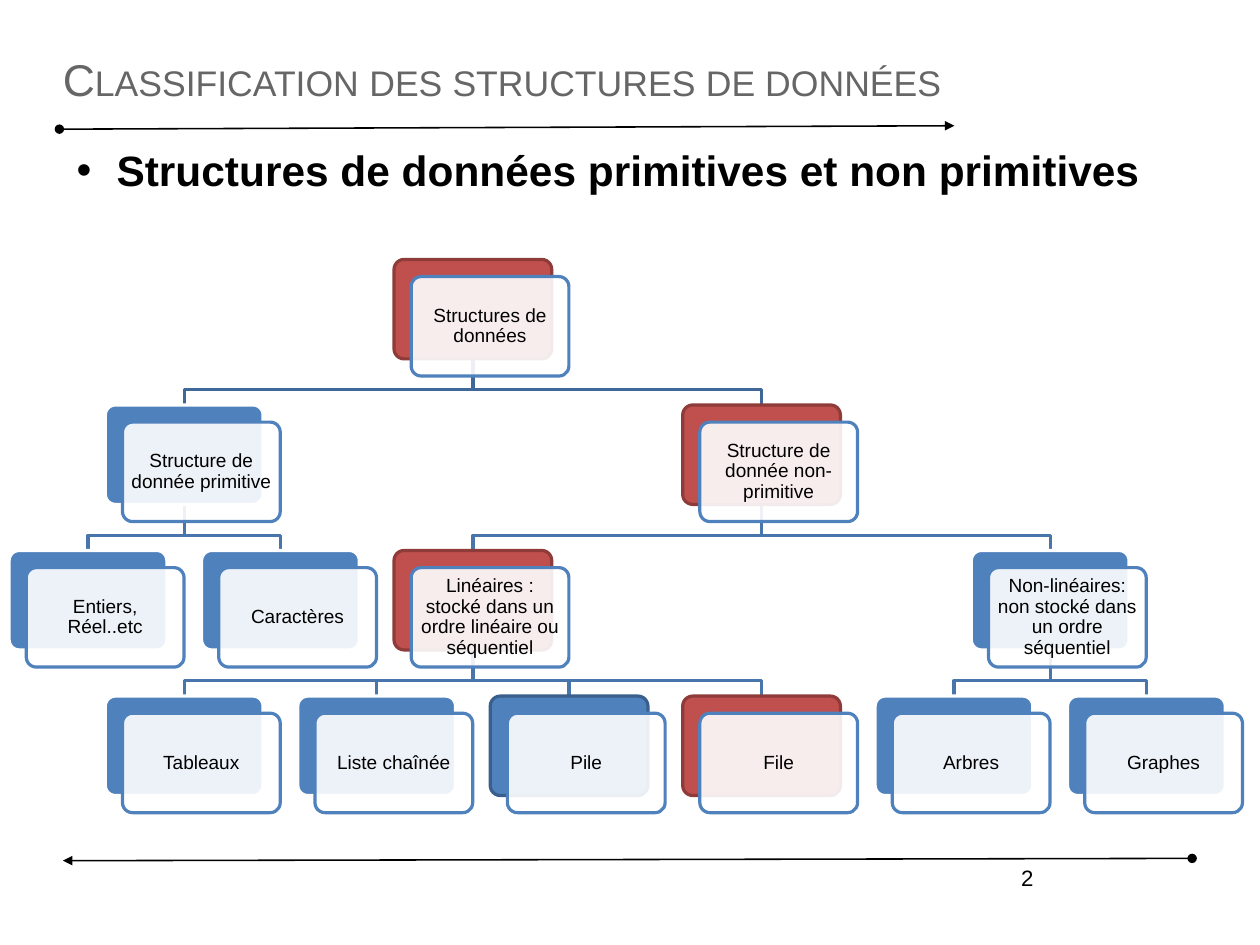
from lxml.etree import SubElement as Sub
from pptx import Presentation
from pptx.dml.color import RGBColor as RGB
from pptx.enum.shapes import MSO_CONNECTOR as LINK, MSO_SHAPE as KIND
from pptx.enum.text import MSO_ANCHOR as ANCHOR, PP_ALIGN as ALIGN
from pptx.oxml.ns import qn
from pptx.util import Cm, Inches, Pt

TITLE = "Classification des structures de données"
TOPIC = "Structures de données primitives et non primitives"
PAGE = "2"

NODES = {
    "root": ("Structures de données", 4, 0, "red", None),
    "prim": ("Structure de donnée primitive", 1, 1, "blue", "root"),
    "nonprim": ("Structure de donnée non-primitive", 7, 1, "red", "root"),
    "int": ("Entiers, Réel..etc", 0, 2, "blue", "prim"),
    "char": ("Caractères", 2, 2, "blue", "prim"),
    "linear": ("Linéaires : stocké dans un ordre linéaire ou séquentiel",
               4, 2, "red", "nonprim"),
    "nonlin": ("Non-linéaires: non stocké dans un ordre séquentiel",
               10, 2, "blue", "nonprim"),
    "array": ("Tableaux", 1, 3, "blue", "linear"),
    "list": ("Liste chaînée", 3, 3, "blue", "linear"),
    "stack": ("Pile", 5, 3, "navy", "linear"),
    "queue": ("File", 7, 3, "red", "linear"),
    "tree": ("Arbres", 9, 3, "blue", "nonlin"),
    "graph": ("Graphes", 11, 3, "blue", "nonlin"),
}
RULES = [((0.52, 1.13), (8.35, 1.1)), ((10.43, 7.51), (0.55, 7.53))]

HEX = {
    "black": "000000", "white": "FFFFFF", "gray": "666666",
    "blue": "4F81BD", "red": "C0504D", "dark": "8E3B39", "deep": "3A5F8C",
    "edge": "4875AC", "top": "3F6797",
}
LOOKS = {"red": ("red", "dark"), "blue": ("blue", "white"), "navy": ("blue", "deep")}

LEFT, RIGHT = 0.08, 9.34
TOP, BASE = 2.27, 6.09
STEP, ROW = (RIGHT - LEFT) / 11, (BASE - TOP) / 3
WIDE, HIGH = 1.38, 0.87
SHIFT = 0.15
BEND, DROP = 0.27, 0.4


def color(name):
    return RGB.from_string(HEX[name])


def place(node):
    return LEFT + node[1] * STEP, TOP + node[2] * ROW


def write(shape, text, size, hue, pad, bold=False, frame=None, para=None):
    tf = shape.text_frame
    sides = ("margin_left", "margin_top", "margin_right", "margin_bottom")
    box = {"word_wrap": True, **dict(zip(sides, map(Inches, pad))), **(frame or {})}
    p = tf.paragraphs[0]
    run = p.add_run()
    run.text = text
    face = {"name": "Arial", "size": Pt(size), "bold": bold}
    for item, form in ((tf, box), (p, para or {}), (run.font, face)):
        for key, val in form.items():
            setattr(item, key, val)
    run.font.color.rgb = color(hue)
    return p, run


def text_box(shapes, *area):
    return shapes.add_textbox(*map(Inches, area))


def add_rule(shapes, start, end):
    rule = shapes.add_connector(LINK.STRAIGHT, *map(Inches, start + end))
    rule.line.color.rgb = color("black")
    rule.line.width = Pt(1)
    ln = rule.line._get_or_add_ln()
    Sub(ln, qn("a:headEnd"), type="oval")
    Sub(ln, qn("a:tailEnd"), type="triangle")
    Sub(rule.element.spPr, qn("a:effectLst"))


def add_edge(shapes, node):
    base = NODES[node[4]]
    x, y = place(base)
    x, y = x + WIDE / 2, y + HIGH
    end = place(node)[0] + WIDE / 2
    dots = [(x, y), (x, y + BEND), (end, y + BEND), (end, y + DROP)]
    pen = shapes.build_freeform(*map(Inches, dots[0]))
    pen.add_line_segments([tuple(map(Inches, dot)) for dot in dots[1:]], close=False)
    edge = pen.convert_to_shape()
    edge.shadow.inherit = False
    edge.fill.background()
    edge.line.color.rgb = color("edge" if base[4] else "top")
    edge.line.width = Pt(2)


def add_card(shapes, x, y, fill, line):
    card = shapes.add_shape(KIND.ROUNDED_RECTANGLE, *map(Inches, (x, y, WIDE, HIGH)))
    card.adjustments[0] = 0.1
    card.shadow.inherit = False
    card.fill.solid()
    card.fill.fore_color.rgb = color(fill)
    card.line.color.rgb = color(line)
    card.line.width = Pt(2)
    return card


def add_node(shapes, node):
    x, y = place(node)
    add_card(shapes, x, y, *LOOKS[node[3]])
    front = add_card(shapes, x + SHIFT, y + SHIFT, "white", "blue")
    tint = front.element.spPr.find(qn("a:solidFill"))[0]
    Sub(tint, qn("a:alpha"), val="90000")
    write(front, node[0], 12, "black", [0.05] * 4,
          frame={"vertical_anchor": ANCHOR.MIDDLE},
          para={"alignment": ALIGN.CENTER, "line_spacing": 0.9})


def main():
    deck = Presentation()
    deck.slide_width, deck.slide_height = Cm(28), Cm(21)
    shapes = deck.slides.add_slide(deck.slide_layouts[6]).shapes

    for start, end in RULES:
        add_rule(shapes, start, end)
    write(text_box(shapes, 6.57, 7.51, 2.57, 0.57), PAGE, 14, "black",
          (0.1, 0.05, 0.1, 0.05), para={"alignment": ALIGN.RIGHT})

    head = text_box(shapes, 0.55, 0.33, 9.92, 0.72)
    run = write(head, TITLE, 28, "gray", [0] * 4,
                frame={"vertical_anchor": ANCHOR.MIDDLE})[1]
    run.font._element.set("cap", "small")

    body = text_box(shapes, 0.55, 1.26, 9.91, 2.19)
    body.fill.solid()
    body.fill.fore_color.rgb = color("white")
    p = write(body, TOPIC, 26.7, "black", [0] * 4, bold=True,
              para={"space_before": Pt(9.4)})[0]
    props = p._p.get_or_add_pPr()
    props.set("marL", str(Inches(0.47)))
    props.set("indent", str(Inches(-0.35)))
    Sub(props, qn("a:buFont"), typeface="Arial")
    Sub(props, qn("a:buChar"), char="•")

    for node in NODES.values():
        if node[4]:
            add_edge(shapes, node)
    for node in NODES.values():
        add_node(shapes, node)
    deck.save("out.pptx")


if __name__ == "__main__":
    main()
